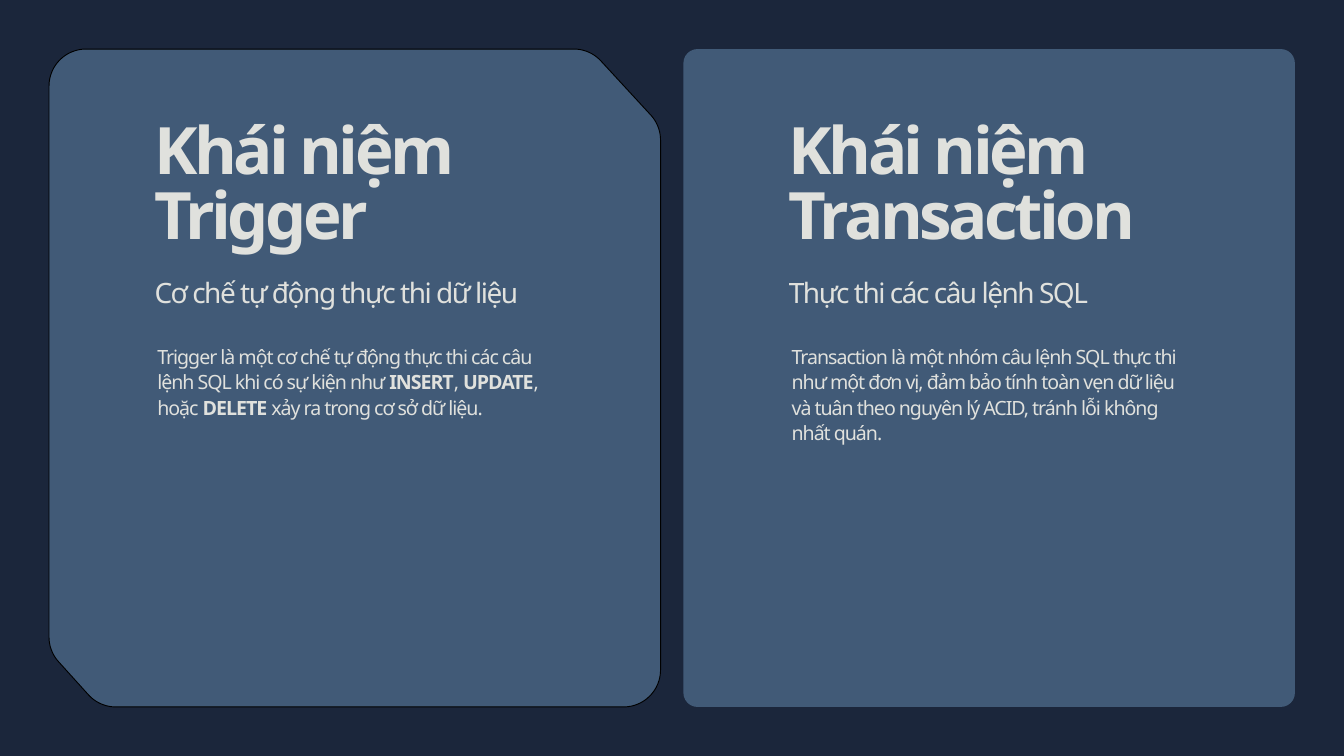
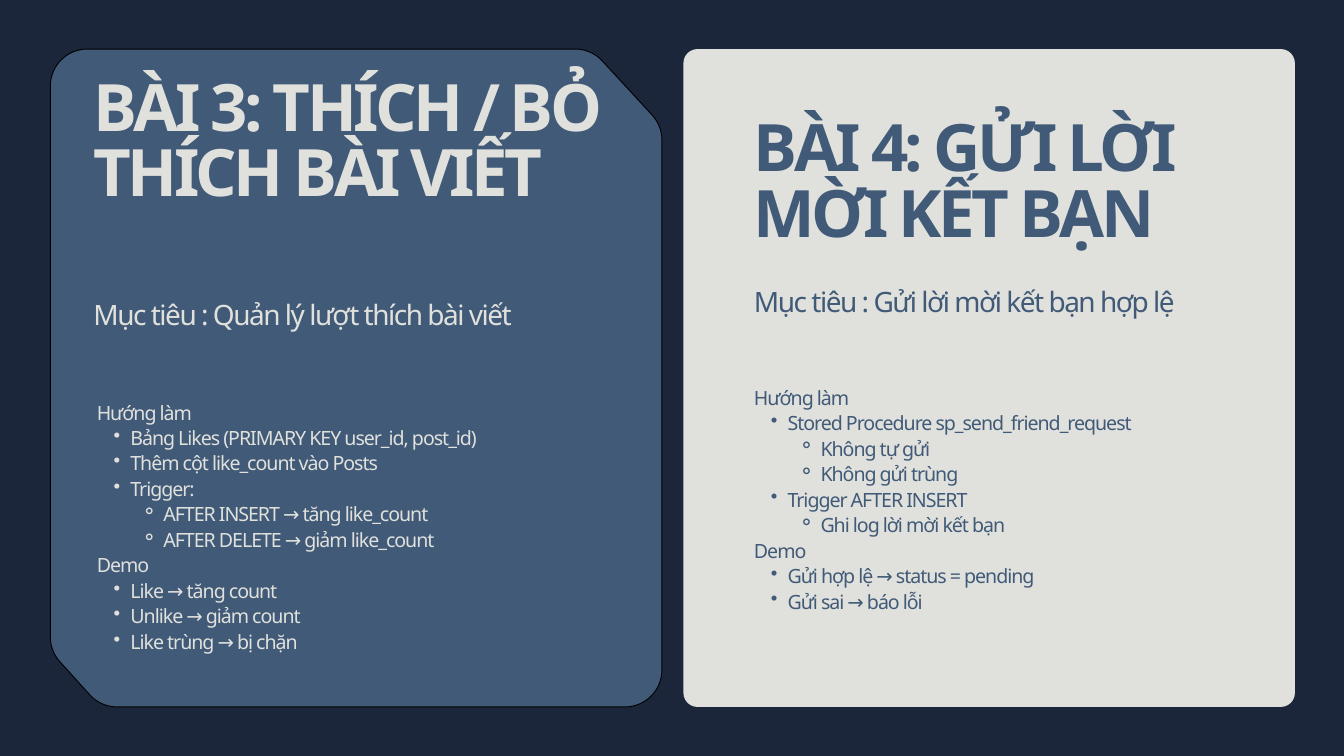
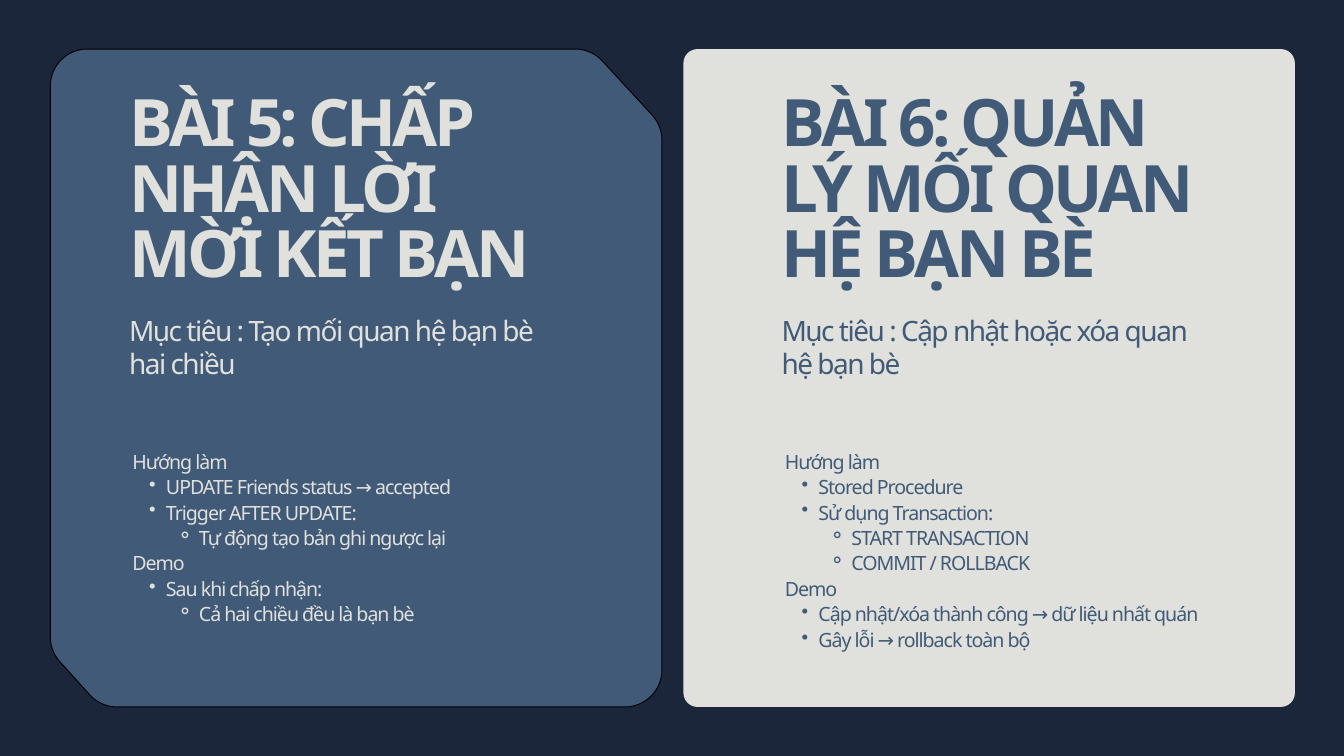
import math
from dataclasses import dataclass

from lxml import etree
from pptx import Presentation
from pptx.dml.color import RGBColor
from pptx.enum.shapes import MSO_SHAPE
from pptx.enum.text import MSO_ANCHOR, MSO_AUTO_SIZE, PP_ALIGN
from pptx.oxml.ns import qn
from pptx.util import Inches, Pt

ROUNDED = MSO_SHAPE.ROUNDED_RECTANGLE
TOP, LEFT, NO_FIT = MSO_ANCHOR.TOP, PP_ALIGN.LEFT, MSO_AUTO_SIZE.NONE
TITLE_ONLY = 5


@dataclass(frozen=True)
class TextStyle:
    size: float
    leading: float
    tracking: float
    line_height: float
    extra_height: float = 0
    bold: bool = False


@dataclass(frozen=True)
class Theme:
    font: str = "Noto Sans"
    navy: RGBColor = RGBColor.from_string("1B263B")
    blue: RGBColor = RGBColor.from_string("415A77")
    light: RGBColor = RGBColor.from_string("E0E1DD")
    black: RGBColor = RGBColor.from_string("000000")
    title: TextStyle = TextStyle(70, 70, -3.8, 0.97, 0.08, True)
    goal: TextStyle = TextStyle(30, 36, -1.6, 0.5, 0.02)
    body: TextStyle = TextStyle(21, 27.3, -1.1, 0.374)


@dataclass(frozen=True)
class Card:
    """Text of one panel; x is measured from the panel, tops from the slide.

    Body lines start with one "-" per bullet level; "**" encloses bold text.
    """
    title: str
    goal: str
    body: list[str]
    x: float
    width: float
    tops: tuple[float, float, float]
    lines: tuple[int, int, int]
    body_inset: float = 0.05


@dataclass(frozen=True)
class SlidePair:
    left: Card
    right: Card
    right_is_light: bool = True
    left_shift: float = 0.02


THEME = Theme()
SLIDE_W, SLIDE_H = 20, 11.25
MARGIN, GUTTER = 0.73, 0.34
PANEL_W = (SLIDE_W - 2 * MARGIN - GUTTER) / 2
PANEL_H = SLIDE_H - 2 * MARGIN
RIGHT_X = MARGIN + PANEL_W + GUTTER
CUT_RADIUS, ROUND_RADIUS = 0.55, 0.21
TOP_CUT, BOTTOM_CUT = (1.05, 1.14), (0.75, 0.83)
ARC_STEPS = 16
# Bullet character, left margin and hanging indent for each level
BULLETS = {1: ("•", 0.5, -0.25), 2: ("⚬", 0.99, -0.33)}

CONCEPT_TOPS = (1.82, 4.1, 5.1)
LOWER_TOPS = (1.41, 4.66, 6.66)

SLIDES = [
    SlidePair(
        Card("Khái niệm Trigger", "Cơ chế tự động thực thi dữ liệu",
             ["Trigger là một cơ chế tự động thực thi các câu lệnh SQL khi có sự kiện như "
              "**INSERT**, **UPDATE**, hoặc **DELETE** xảy ra trong cơ sở dữ liệu."],
             1.57, 5.96, CONCEPT_TOPS, (2, 1, 3), 0.04),
        Card("Khái niệm Transaction", "Thực thi các câu lệnh SQL",
             ["Transaction là một nhóm câu lệnh SQL thực thi như một đơn vị, đảm bảo tính "
              "toàn vẹn dữ liệu và tuân theo nguyên lý ACID, tránh lỗi không nhất quán."],
             1.57, 5.96, CONCEPT_TOPS, (2, 1, 4), 0.04),
        right_is_light=False, left_shift=0),
    SlidePair(
        Card("BÀI 3: THÍCH / BỎ THÍCH BÀI VIẾT", "Mục tiêu : Quản lý lượt thích bài viết",
             ["Hướng làm",
              "-Bảng Likes (PRIMARY KEY user_id, post_id)",
              "-Thêm cột like_count vào Posts",
              "-Trigger:",
              "--AFTER INSERT → tăng like_count",
              "--AFTER DELETE → giảm like_count",
              "Demo",
              "-Like → tăng count",
              "-Unlike → giảm count",
              "-Like trùng → bị chặn"],
             0.64, 7.56, (1.18, 4.43, 5.93), (3, 2, 11)),
        Card("BÀI 4: GỬI LỜI MỜI KẾT BẠN", "Mục tiêu : Gửi lời mời kết bạn hợp lệ",
             ["Hướng làm",
              "-Stored Procedure sp_send_friend_request",
              "--Không tự gửi",
              "--Không gửi trùng",
              "-Trigger AFTER INSERT",
              "--Ghi log lời mời kết bạn",
              "Demo",
              "-Gửi hợp lệ → status = pending",
              "-Gửi sai → báo lỗi"],
             1.05, 7.54, (1.78, 4.24, 5.71), (4, 2, 10), 0)),
    SlidePair(
        Card("BÀI 5: CHẤP NHẬN LỜI MỜI KẾT BẠN",
             "Mục tiêu : Tạo mối quan hệ bạn bè hai chiều",
             ["Hướng làm",
              "-UPDATE Friends status → accepted",
              "-Trigger AFTER UPDATE:",
              "--Tự động tạo bản ghi ngược lại",
              "Demo",
              "-Sau khi chấp nhận:",
              "--Cả hai chiều đều là bạn bè"],
             1.17, 6.47, LOWER_TOPS, (3, 3, 8)),
        Card("BÀI 6: QUẢN LÝ MỐI QUAN HỆ BẠN BÈ",
             "Mục tiêu : Cập nhật hoặc xóa quan hệ bạn bè",
             ["Hướng làm",
              "-Stored Procedure",
              "-Sử dụng Transaction:",
              "--START TRANSACTION",
              "--COMMIT / ROLLBACK",
              "Demo",
              "-Cập nhật/xóa thành công → dữ liệu nhất quán",
              "-Gây lỗi → rollback toàn bộ"],
             1.46, 6.45, LOWER_TOPS, (3, 3, 9))),
]


def rounded_outline(corners: list[tuple[float, float]], radius: float) -> list[tuple[int, int]]:
    """Replace each corner of a clockwise polygon by an arc of the given radius."""
    points = []
    for i, (x, y) in enumerate(corners):
        before, after = corners[i - 1], corners[(i + 1) % len(corners)]
        heading = math.atan2(y - before[1], x - before[0])
        turn = (math.atan2(after[1] - y, after[0] - x) - heading) % math.tau
        reach = radius * math.tan(turn / 2)
        cx = x - reach * math.cos(heading) - radius * math.sin(heading)
        cy = y - reach * math.sin(heading) + radius * math.cos(heading)
        for step in range(ARC_STEPS + 1):
            angle = heading + turn * step / ARC_STEPS
            points.append((Inches(cx + radius * math.sin(angle)),
                           Inches(cy - radius * math.cos(angle))))
    return points


def add_cut_panel(slide, x: float) -> None:
    """Draw the panel whose top right and bottom left corners are cut off."""
    right, bottom = x + PANEL_W, MARGIN + PANEL_H
    corners = [(x, MARGIN), (right - TOP_CUT[0], MARGIN), (right, MARGIN + TOP_CUT[1]),
               (right, bottom), (x + BOTTOM_CUT[0], bottom), (x, bottom - BOTTOM_CUT[1])]
    start, *others = rounded_outline(corners, CUT_RADIUS)
    builder = slide.shapes.build_freeform(*start)
    builder.add_line_segments(others)
    sp = builder.convert_to_shape()
    sp.shadow.inherit = False
    sp.fill.solid()
    sp.fill.fore_color.rgb = THEME.blue
    sp.line.color.rgb = THEME.black
    sp.line.width = Pt(1)


def add_round_panel(slide, x: float, color: RGBColor) -> None:
    sp = slide.shapes.add_shape(ROUNDED, Inches(x), Inches(MARGIN),
                                Inches(PANEL_W), Inches(PANEL_H))
    sp.adjustments[0] = ROUND_RADIUS / PANEL_W
    sp.shadow.inherit = False
    sp.fill.solid()
    sp.fill.fore_color.rgb = color
    sp.line.fill.background()


def set_bullet(p, level: int) -> None:
    char, margin, indent = BULLETS[level]
    pPr = p._p.get_or_add_pPr()
    pPr.set("marL", str(Inches(margin)))
    pPr.set("indent", str(Inches(indent)))
    etree.SubElement(pPr, qn("a:buChar")).set("char", char)
    p.level = level


def write(sp, lines: list[str], style: TextStyle, color: RGBColor) -> None:
    tf = sp.text_frame
    tf.word_wrap = True
    tf.auto_size = NO_FIT
    tf.vertical_anchor = TOP
    tf.margin_left = tf.margin_top = tf.margin_right = tf.margin_bottom = 0
    for i, line in enumerate(lines):
        p = tf.add_paragraph() if i else tf.paragraphs[0]
        text = line.lstrip("-")
        level = len(line) - len(text)
        if level:
            set_bullet(p, level)
        p.alignment = LEFT
        p.line_spacing = Pt(style.leading)
        for j, part in enumerate(text.split("**")):
            r = p.add_run()
            r.text = part
            r.font.name = THEME.font
            r.font.size = Pt(style.size)
            r.font.bold = style.bold or j % 2 == 1
            r.font.color.rgb = color
            r._r.get_or_add_rPr().set("spc", str(round(style.tracking * 100)))


def add_card(slide, card: Card, panel_x: float, color: RGBColor, title=None) -> None:
    """Write a card's three texts, using the title placeholder if one is given."""
    x = panel_x + card.x
    blocks = [([card.title], THEME.title, 0, title),
              ([card.goal], THEME.goal, 0, None),
              (card.body, THEME.body, card.body_inset, None)]
    for (texts, style, inset, sp), top, count in zip(blocks, card.tops, card.lines):
        height = count * style.line_height + style.extra_height
        box = [Inches(v) for v in (x + inset, top, card.width - inset, height)]
        if sp is None:
            sp = slide.shapes.add_textbox(*box)
        else:
            sp.left, sp.top, sp.width, sp.height = box
        write(sp, texts, style, color)


def add_pair_slide(prs, pair: SlidePair) -> None:
    slide = prs.slides.add_slide(prs.slide_layouts[TITLE_ONLY])
    title = slide.shapes.title
    left_x = MARGIN + pair.left_shift
    fill, ink = (THEME.light, THEME.blue) if pair.right_is_light else (THEME.blue, THEME.light)
    add_cut_panel(slide, left_x)
    add_round_panel(slide, RIGHT_X, fill)
    title.element.getparent().append(title.element)  # bring in front of the panels
    add_card(slide, pair.left, left_x, THEME.light, title)
    add_card(slide, pair.right, RIGHT_X, ink)


def main() -> None:
    prs = Presentation()
    prs.slide_width, prs.slide_height = Inches(SLIDE_W), Inches(SLIDE_H)
    background = prs.slide_master.background.fill
    background.solid()
    background.fore_color.rgb = THEME.navy
    for pair in SLIDES:
        add_pair_slide(prs, pair)
    prs.save("out.pptx")


if __name__ == "__main__":
    main()
